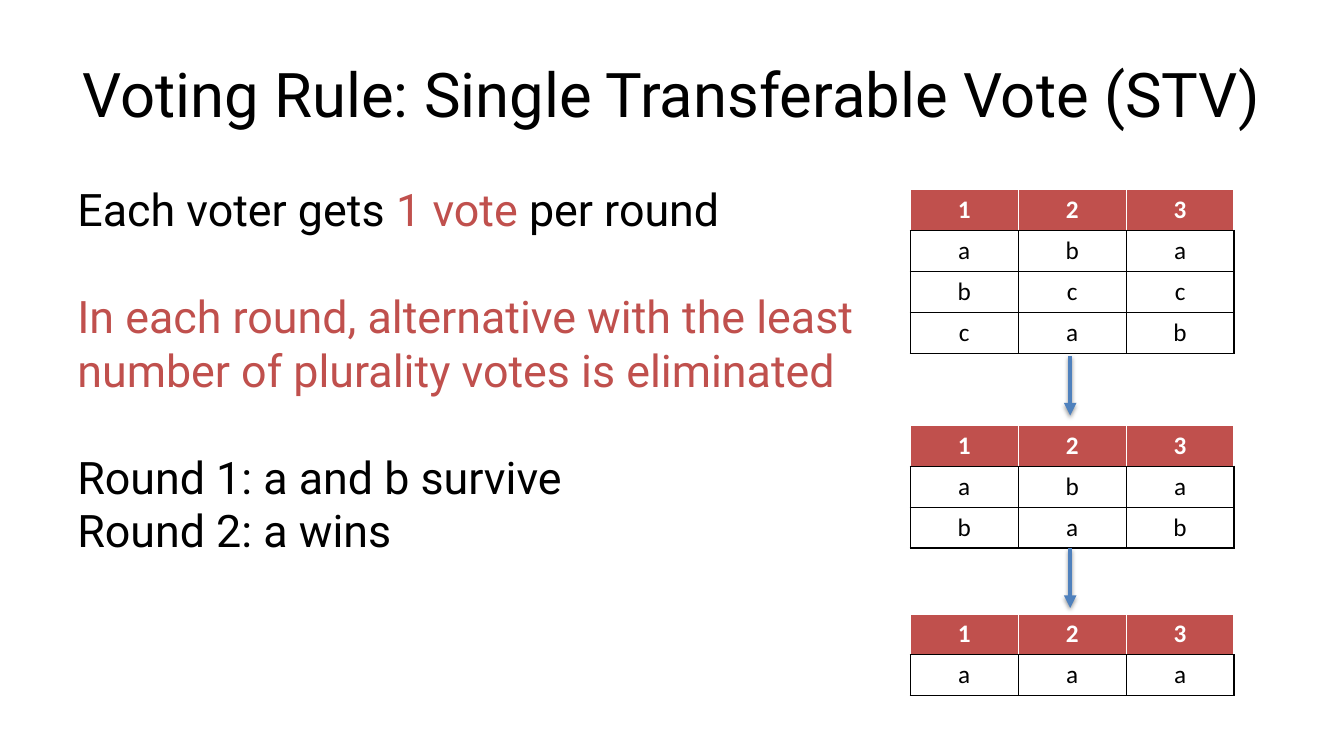
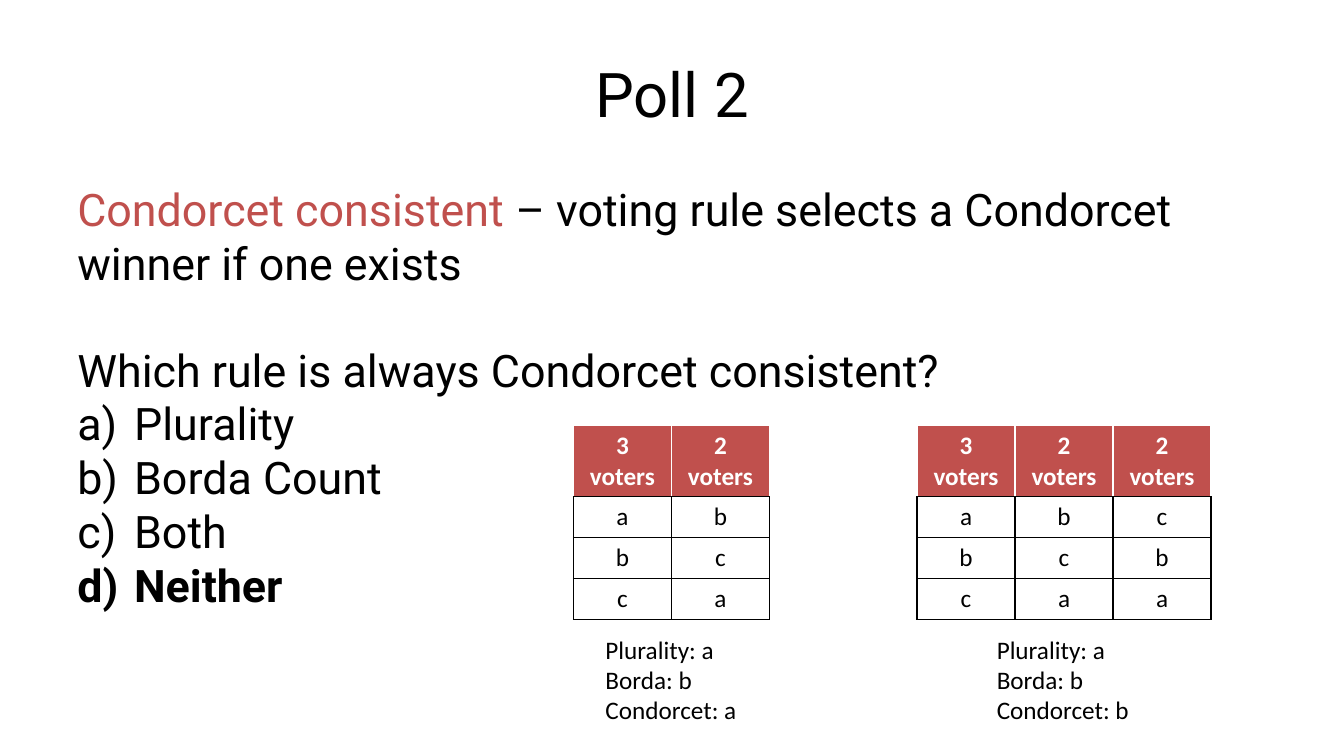
"""Build two slides on voting rules: single transferable vote and a Condorcet poll."""
from dataclasses import dataclass

from lxml.etree import SubElement
from pptx import Presentation
from pptx.dml.color import RGBColor
from pptx.enum.shapes import MSO_CONNECTOR
from pptx.enum.text import MSO_ANCHOR, PP_ALIGN
from pptx.oxml import parse_xml
from pptx.oxml.ns import nsdecls, qn
from pptx.slide import Slide
from pptx.table import _Cell
from pptx.util import Cm, Pt

COLORS = {"ink": "000000", "paper": "FFFFFF", "accent": "C0504D", "arrow": "4F81BD"}
HEADING_FONT = "Roboto"
TABLE_FONT = "Calibri"
LEFT = 1.7
FULL_WIDTH = 30.48
ROW_HEIGHT = 1.03
ROUND_LEFT = 22.94
ROUND_COLUMN = 2.72
POLL_TOP = 10.72
POLL_COLUMN = 2.47
BLANK_LINE = 38


@dataclass(frozen=True)
class Span:
    """A piece of text in one style."""

    text: str
    color: str = "ink"
    bold: bool = False


@dataclass(frozen=True)
class Para:
    """A paragraph, optionally lettered or followed by a gap in points."""

    spans: tuple[Span, ...]
    gap: float = 0
    lettered: bool = False


@dataclass(frozen=True)
class TextStyle:
    """Font, size and placement of a text box."""

    font: str
    size: int
    align: PP_ALIGN = PP_ALIGN.LEFT
    anchor: MSO_ANCHOR = MSO_ANCHOR.TOP
    wrap: bool = True


@dataclass(frozen=True)
class Ballot:
    """A preference table; each row lists one rank across the voters."""

    left: float
    top: float
    column: float
    header: tuple[str, ...]
    ranks: tuple[str, ...]
    header_height: float = ROW_HEIGHT


TITLE = TextStyle(HEADING_FONT, 44, PP_ALIGN.CENTER, MSO_ANCHOR.MIDDLE)
BODY = TextStyle(HEADING_FONT, 32)
CAPTION = TextStyle(TABLE_FONT, 18, wrap=False)

VOTERS = ("1", "2", "3")
ROUNDS = (
    Ballot(ROUND_LEFT, 4.78, ROUND_COLUMN, VOTERS, ("aba", "bcc", "cab")),
    Ballot(ROUND_LEFT, 10.72, ROUND_COLUMN, VOTERS, ("aba", "bab")),
    Ballot(ROUND_LEFT, 15.47, ROUND_COLUMN, VOTERS, ("aaa",)),
)
ARROW_TOPS = (8.97, 13.82)
ARROW_LENGTH = 1.5
POLLS = (
    (Ballot(14.45, POLL_TOP, POLL_COLUMN, ("3 voters", "2 voters"),
            ("ab", "bc", "ca"), 1.8), 15.01, "a"),
    (Ballot(23.11, POLL_TOP, POLL_COLUMN, ("3 voters", "2 voters", "2 voters"),
            ("abc", "bcb", "caa"), 1.8), 24.87, "b"),
)

STV_BODY = (
    Para((Span("Each voter gets "), Span("1 vote ", "accent"), Span("per round")), BLANK_LINE),
    Para((Span("In each round, alternative with the least number of plurality votes "
               "is eliminated", "accent"),), BLANK_LINE),
    Para((Span("Round 1: a and b survive"),)),
    Para((Span("Round 2: a wins"),)),
)
POLL_BODY = (
    Para((Span("Condorcet consistent ", "accent"),
          Span("– voting rule selects a Condorcet winner if one exists")), BLANK_LINE),
    Para((Span("Which rule is always Condorcet consistent?"),)),
    *(Para((Span(choice, bold=choice == "Neither"),), lettered=True)
      for choice in ("Plurality", "Borda Count", "Both", "Neither")),
)


def rgb(name: str) -> RGBColor:
    """Look up a named colour."""
    return RGBColor.from_string(COLORS[name])


def add_span(paragraph, span: Span, style: TextStyle) -> None:
    """Append one styled run to a paragraph."""
    run = paragraph.add_run()
    run.text = span.text
    run.font.name = style.font
    run.font.size = Pt(style.size)
    run.font.bold = span.bold
    run.font.color.rgb = rgb(span.color)


def add_text(page: Slide, left: float, top: float, width: float, height: float,
             paras: tuple[Para, ...], style: TextStyle) -> None:
    """Place a text box, with sizes in centimetres."""
    box = page.shapes.add_textbox(Cm(left), Cm(top), Cm(width), Cm(height))
    frame = box.text_frame
    frame.word_wrap = style.wrap
    frame.vertical_anchor = style.anchor
    for index, para in enumerate(paras):
        paragraph = frame.add_paragraph() if index else frame.paragraphs[0]
        if para.lettered:
            properties = paragraph._p.get_or_add_pPr()
            properties.set("marL", str(Cm(1.43)))
            properties.set("indent", str(-Cm(1.43)))
            SubElement(properties, qn("a:buFont"), typeface=style.font)
            SubElement(properties, qn("a:buAutoNum"), type="alphaLcParenR")
        paragraph.alignment = style.align
        if para.gap:
            paragraph.space_after = Pt(para.gap)
        for span in para.spans:
            add_span(paragraph, span, style)


def set_borders(cell: _Cell, side_color: str) -> None:
    """Give a cell 1 pt borders; the bottom one is always dark."""
    properties = cell._tc.get_or_add_tcPr()
    for side in "LRTB":
        color = COLORS["ink" if side == "B" else side_color]
        properties.append(parse_xml(
            f'<a:ln{side} {nsdecls("a")} w="{Pt(1)}"><a:solidFill>'
            f'<a:srgbClr val="{color}"/></a:solidFill></a:ln{side}>'))


def add_ballot(page: Slide, ballot: Ballot) -> None:
    """Draw a preference table."""
    rows = (ballot.header, *ballot.ranks)
    count = len(ballot.header)
    height = ballot.header_height + ROW_HEIGHT * len(ballot.ranks)
    table = page.shapes.add_table(len(rows), count, Cm(ballot.left), Cm(ballot.top),
                                  Cm(ballot.column * count), Cm(height)).table
    table.horz_banding = False
    for column in table.columns:
        column.width = Cm(ballot.column)
    for row_index, row in enumerate(rows):
        heading = row_index == 0
        table.rows[row_index].height = Cm(ballot.header_height if heading else ROW_HEIGHT)
        for column_index, text in enumerate(row):
            cell = table.cell(row_index, column_index)
            set_borders(cell, "paper" if heading else "ink")
            cell.fill.solid()
            cell.fill.fore_color.rgb = rgb("accent" if heading else "paper")
            paragraph = cell.text_frame.paragraphs[0]
            paragraph.alignment = PP_ALIGN.CENTER
            add_span(paragraph, Span(text, "paper" if heading else "ink", heading), CAPTION)


def add_down_arrow(page: Slide, center: float, top: float) -> None:
    """Draw a downward arrow with a soft shadow."""
    arrow = page.shapes.add_connector(MSO_CONNECTOR.STRAIGHT, Cm(center), Cm(top),
                                      Cm(center), Cm(top + ARROW_LENGTH))
    arrow.line.width = Pt(3)
    arrow.line.color.rgb = rgb("arrow")
    SubElement(arrow.line._get_or_add_ln(), qn("a:tailEnd"), type="triangle")
    arrow._element.spPr.append(parse_xml(
        f'<a:effectLst {nsdecls("a")}><a:outerShdw blurRad="{Pt(3.1)}" dist="{Pt(1.6)}" '
        f'dir="5400000" rotWithShape="0"><a:srgbClr val="{COLORS["ink"]}">'
        '<a:alpha val="38000"/></a:srgbClr></a:outerShdw></a:effectLst>'))


def add_page(deck, title: str, body: tuple[Para, ...], body_width: float) -> Slide:
    """Add a slide with the shared title and body."""
    page = deck.slides.add_slide(deck.slide_layouts[6])
    add_text(page, LEFT, 0.76, FULL_WIDTH, 3.18, (Para((Span(title),)),), TITLE)
    add_text(page, LEFT, 4.45, body_width, 12.57, body, BODY)
    return page


def add_stv_page(deck) -> None:
    """Show the elimination rounds of single transferable vote."""
    page = add_page(deck, "Voting Rule: Single Transferable Vote (STV)", STV_BODY, 20.65)
    for ballot in ROUNDS:
        add_ballot(page, ballot)
    for top in ARROW_TOPS:
        add_down_arrow(page, 26.97, top)


def add_poll_page(deck) -> None:
    """Show the poll and its two counterexamples."""
    page = add_page(deck, "Poll 2", POLL_BODY, FULL_WIDTH)
    for ballot, caption_left, condorcet in POLLS:
        add_ballot(page, ballot)
        lines = ("Plurality: a", "Borda: b", f"Condorcet: {condorcet}")
        paras = tuple(Para((Span(line),)) for line in lines)
        add_text(page, caption_left, 15.85, 3.87, 2.57, paras, CAPTION)


def main() -> None:
    """Build and save the deck."""
    deck = Presentation()
    deck.slide_width, deck.slide_height = Cm(33.87), Cm(19.05)
    add_stv_page(deck)
    add_poll_page(deck)
    deck.save("out.pptx")


if __name__ == "__main__":
    main()
